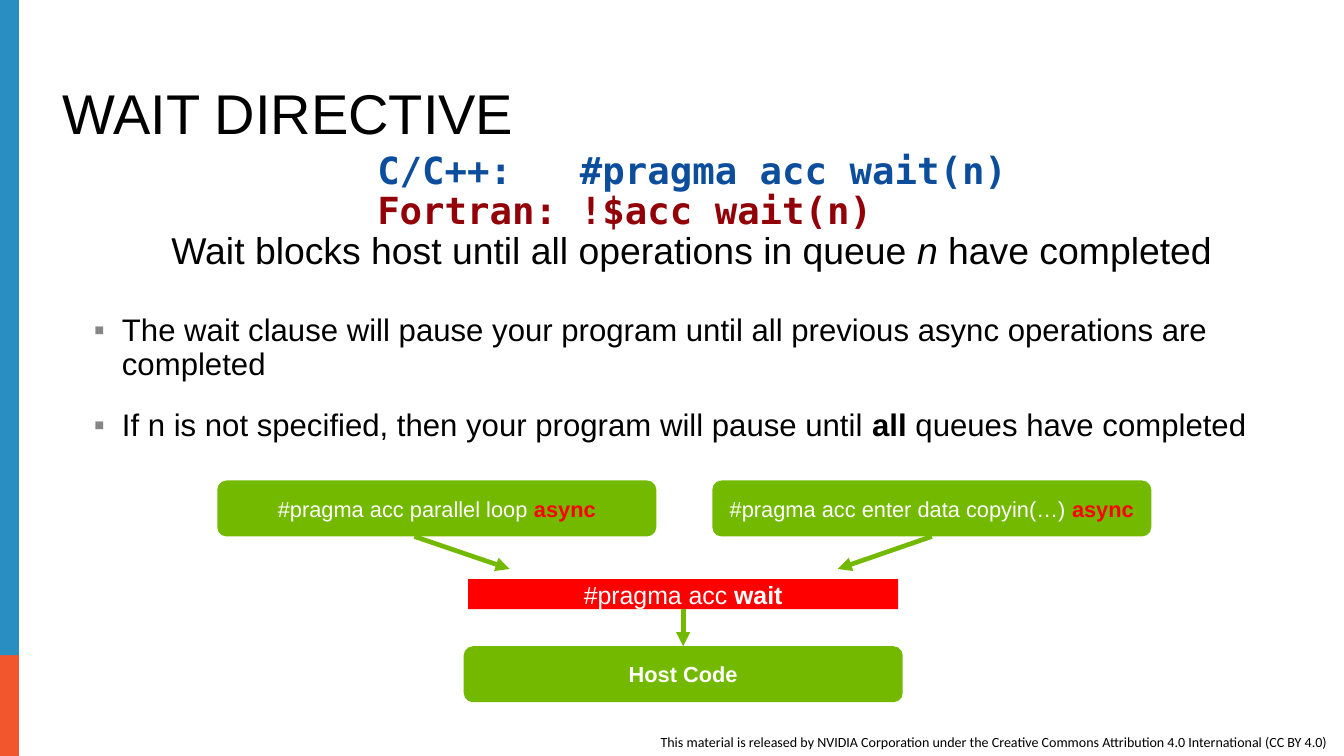
from typing import NamedTuple

from lxml import etree
from pptx import Presentation
from pptx import util as u
from pptx.dml.color import RGBColor
from pptx.enum import shapes, text
from pptx.oxml import ns

COLORS = {
    "black": "000000", "white": "FFFFFF", "blue": "298EC2", "orange": "F1562D",
    "green": "73B900", "red": "FF0000", "c_code": "0C4E9B",
    "fortran_code": "920008", "bullet": "868686",
}
CODE_FONT = "DejaVu Sans Mono"
CODE_TABS = (1.89, 3.7)  # label column and directive column
STEP_W, STEP_H = 3.92, 0.5


class Run(NamedTuple):
    words: str
    bold: bool = False
    italic: bool = False
    color: str = ""


class Box(NamedTuple):
    left: float
    top: float
    width: float
    height: float

    def lengths(self) -> list:
        return [u.Inches(side) for side in self]


class Step(NamedTuple):
    box: Box
    runs: list
    fill: str = "green"
    size: int = 14
    kind: int = shapes.MSO_SHAPE.ROUNDED_RECTANGLE


class Arrow(NamedTuple):
    x1: float
    y1: float
    x2: float
    y2: float


def rgb(name: str) -> RGBColor:
    return RGBColor.from_string(COLORS[name])


def write(paragraph, runs: list, *, size: int, font: str = "Arial",
          color: str = "black", align=text.PP_ALIGN.LEFT,
          line_spacing: float = 1.0, after: float = 0,
          tabs: tuple = (), bullet: str = "") -> None:
    """Fill one paragraph with formatted runs."""
    props = paragraph._p.get_or_add_pPr()
    if bullet:
        props.set("marL", str(u.Inches(0.25)))
        props.set("indent", str(u.Inches(-0.25)))
        bullet_color = etree.SubElement(props, ns.qn("a:buClr"))
        etree.SubElement(bullet_color, ns.qn("a:srgbClr"), val=COLORS["bullet"])
        etree.SubElement(props, ns.qn("a:buFont"), typeface="Arial")
        etree.SubElement(props, ns.qn("a:buChar"), char=bullet)
    if tabs:
        tab_list = etree.SubElement(props, ns.qn("a:tabLst"))
        for stop in tabs:
            etree.SubElement(tab_list, ns.qn("a:tab"),
                             pos=str(u.Inches(stop)), algn="l")
    paragraph.alignment = align
    paragraph.line_spacing = line_spacing
    paragraph.space_after = u.Pt(after)
    for part in runs:
        run = paragraph.add_run()
        run.text = part.words
        run.font.name, run.font.size = font, u.Pt(size)
        run.font.bold, run.font.italic = part.bold, part.italic
        run.font.color.rgb = rgb(part.color or color)


def add_text_frame(slide, box: Box, anchor=text.MSO_ANCHOR.TOP):
    frame = slide.shapes.add_textbox(*box.lengths()).text_frame
    frame.word_wrap = True
    frame.vertical_anchor = anchor
    return frame


def add_block(slide, box: Box, fill: str, kind=shapes.MSO_SHAPE.RECTANGLE):
    block = slide.shapes.add_shape(kind, *box.lengths())
    block.shadow.inherit = False
    block.fill.solid()
    block.fill.fore_color.rgb = rgb(fill)
    block.line.fill.background()
    return block


def add_step(slide, step: Step) -> None:
    frame = add_block(slide, step.box, step.fill, step.kind).text_frame
    frame.word_wrap = True
    frame.vertical_anchor = text.MSO_ANCHOR.MIDDLE
    write(frame.paragraphs[0], step.runs, size=step.size, color="white",
          align=text.PP_ALIGN.CENTER)


def add_arrow(slide, arrow: Arrow) -> None:
    connector = slide.shapes.add_connector(
        shapes.MSO_CONNECTOR.STRAIGHT, *[u.Inches(end) for end in arrow])
    connector.line.color.rgb = rgb("green")
    connector.line.width = u.Pt(3)
    etree.SubElement(connector.line._get_or_add_ln(), ns.qn("a:tailEnd"),
                     type="triangle")
    etree.SubElement(connector._element.spPr, ns.qn("a:effectLst"))


def main() -> None:
    deck = Presentation()
    deck.slide_width, deck.slide_height = u.Inches(12), u.Inches(6.75)
    slide = deck.slides.add_slide(deck.slide_layouts[6])

    # Licence line and side stripe
    licence = add_text_frame(slide, Box(5.8, 6.5, 6.2, 0.25))
    write(licence.paragraphs[0], [Run(
        "This material is released by NVIDIA Corporation under the Creative "
        "Commons Attribution 4.0 International (CC BY 4.0)")],
        size=9, font="Calibri")
    add_block(slide, Box(0, 5.85, 0.17, 0.9), "orange")
    add_block(slide, Box(0, 0, 0.17, 5.85), "blue")

    # Title
    title = add_text_frame(slide, Box(0.46, 0.71, 10.91, 0.65),
                           text.MSO_ANCHOR.BOTTOM)
    write(title.paragraphs[0], [Run("WAIT DIRECTIVE")], size=36,
          line_spacing=0.9)

    # Bullets
    bullets = add_text_frame(slide, Box(0.74, 2.76, 10.88, 1.29))
    write(bullets.paragraphs[0], [Run(
        "The wait clause will pause your program until all previous async "
        "operations are completed")],
        size=20, line_spacing=0.9, after=18, bullet="▪")
    write(bullets.add_paragraph(), [
        Run("If n is not specified, then your program will pause until "),
        Run("all", bold=True), Run(" queues have completed")],
        size=20, line_spacing=0.9, bullet="▪")

    # Syntax in both languages, with its meaning
    syntax = add_text_frame(slide, Box(1.38, 1.3, 9.59, 1.19),
                            text.MSO_ANCHOR.MIDDLE)
    write(syntax.paragraphs[0],
          [Run("\tC/C++:\t#pragma acc wait(n)", bold=True)], size=24,
          font=CODE_FONT, color="c_code", line_spacing=0.9, tabs=CODE_TABS)
    write(syntax.add_paragraph(),
          [Run("\tFortran:\t!$acc wait(n)", bold=True)], size=24,
          font=CODE_FONT, color="fortran_code", line_spacing=0.9,
          tabs=CODE_TABS)
    write(syntax.add_paragraph(), [
        Run("Wait blocks host until all operations in queue "),
        Run("n", italic=True), Run(" have completed")],
        size=24, align=text.PP_ALIGN.CENTER, line_spacing=0.9)

    # Flow: two async launches, the wait, then host code
    async_word = Run("async", bold=True, color="red")
    for arrow in (Arrow(3.7, 4.79, 4.55, 5.08), Arrow(8.32, 4.79, 7.48, 5.08)):
        add_arrow(slide, arrow)
    for step in (
        Step(Box(6.36, 4.29, STEP_W, STEP_H),
             [Run("#pragma acc enter data copyin(…) "), async_word]),
        Step(Box(1.94, 4.29, STEP_W, STEP_H),
             [Run("#pragma acc parallel loop "), async_word]),
        Step(Box(4.14, 5.77, STEP_W, STEP_H), [Run("Host Code", bold=True)]),
        Step(Box(4.18, 5.17, 3.84, 0.27),
             [Run("#pragma acc "), Run("wait", bold=True)],
             fill="red", size=16, kind=shapes.MSO_SHAPE.RECTANGLE),
    ):
        add_step(slide, step)
    add_arrow(slide, Arrow(6.1, 5.44, 6.1, 5.77))

    deck.save("out.pptx")


if __name__ == "__main__":
    main()
